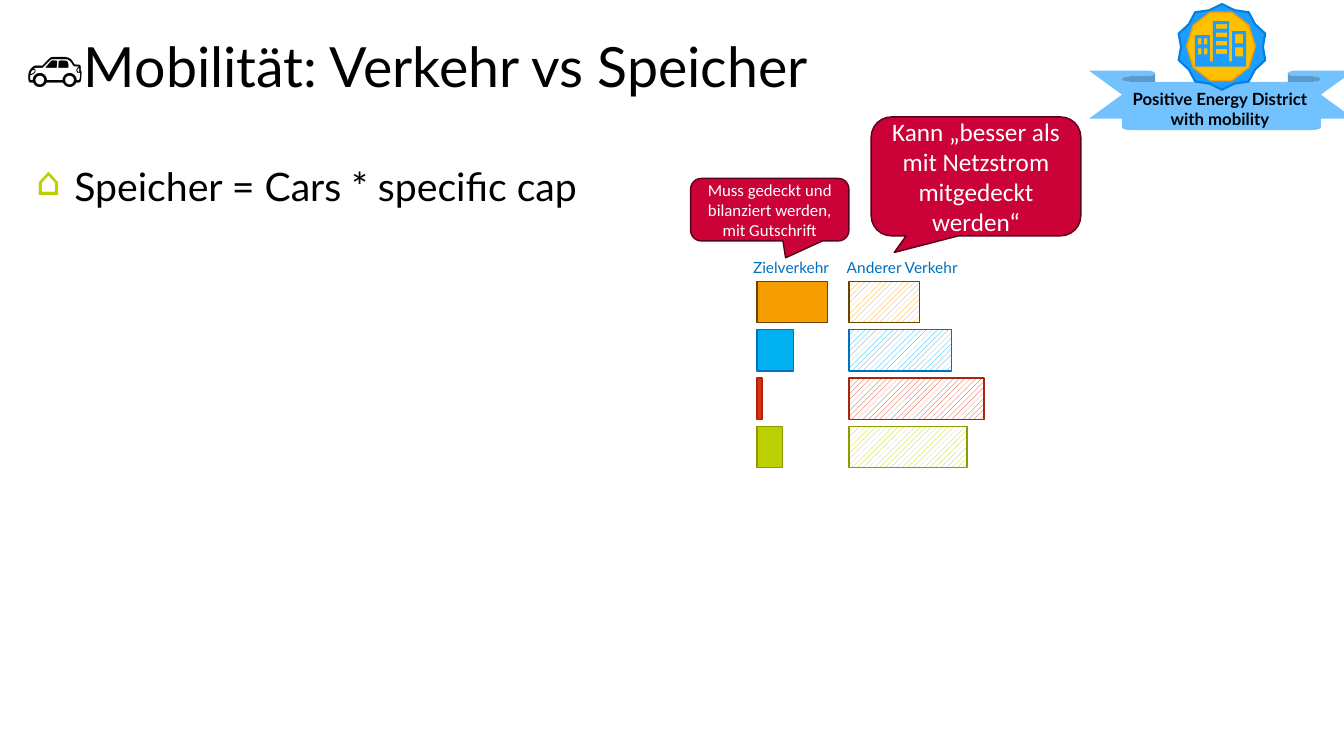
from dataclasses import dataclass

from lxml import etree
from pptx import Presentation
from pptx.dml.color import RGBColor
from pptx.enum.dml import MSO_PATTERN
from pptx.enum.shapes import MSO_SHAPE
from pptx.enum.text import MSO_ANCHOR, PP_ALIGN
from pptx.oxml.ns import qn
from pptx.util import Inches, Pt

RECTANGLE = MSO_SHAPE.RECTANGLE
CALLOUT = MSO_SHAPE.ROUNDED_RECTANGULAR_CALLOUT
RIBBON = MSO_SHAPE.DOWN_RIBBON
STAR = MSO_SHAPE.STAR_10_POINT
DECAGON = MSO_SHAPE.DECAGON
HATCH = MSO_PATTERN.WIDE_UPWARD_DIAGONAL
TOP, MIDDLE = MSO_ANCHOR.TOP, MSO_ANCHOR.MIDDLE
LEFT, CENTER = PP_ALIGN.LEFT, PP_ALIGN.CENTER

# The slide is a grid of square cells
WIDTH, HEIGHT = 13.33, 7.5
COLUMNS, ROWS = 133.3, 75


@dataclass(frozen=True)
class Theme:
    text_font: str = "Lato"
    callout_font: str = "Calibri"
    title_size: float = 39.6
    body_size: float = 28
    large_callout_size: float = 18
    small_size: float = 12
    label_size: float = 11
    black: str = "000000"
    white: str = "FFFFFF"
    label: str = "0070C0"
    callout: str = "CA0237"
    callout_edge: str = "590118"
    orange: str = "F59C00"
    orange_edge: str = "6B4400"
    blue: str = "00B0F0"
    blue_edge: str = "0070C0"
    red: str = "E1320F"
    red_edge: str = "A9250B"
    green: str = "BCCF00"
    green_edge: str = "8D9B00"
    ribbon: str = "71C2FF"
    badge: str = "1D9EFF"
    badge_edge: str = "0081E2"
    sun: str = "FFC000"


def columns(count):
    return Inches(count * WIDTH / COLUMNS)


def rows(count):
    return Inches(count * HEIGHT / ROWS)


def color(value):
    return RGBColor.from_string(value)


def apply_format(target, values):
    for name, value in values.items():
        setattr(target, name, value)


class SlideBuilder:
    def __init__(self, slide, theme):
        self.slide = slide
        self.theme = theme

    def place(self, left, top, width, height):
        return columns(left), rows(top), columns(width), rows(height)

    def paint(self, shape, fill, edge=None, edge_width=1.0, hatched=False):
        shape.shadow.inherit = False
        if hatched:
            shape.fill.patterned()
            shape.fill.pattern = HATCH
            shape.fill.fore_color.rgb = color(fill)
            shape.fill.back_color.rgb = color(self.theme.white)
        else:
            shape.fill.solid()
            shape.fill.fore_color.rgb = color(fill)
        if edge:
            shape.line.color.rgb = color(edge)
            shape.line.width = Pt(edge_width)
        else:
            shape.line.fill.background()

    def shape(self, kind, box, fill, edge=None, adjustments=(), **style):
        shape = self.slide.shapes.add_shape(kind, *self.place(*box))
        for index, value in enumerate(adjustments):
            shape.adjustments[index] = value
        self.paint(shape, fill, edge, **style)
        return shape

    def fill_text(self, shape, lines, size, ink=None, font=None, bold=False,
                  align=LEFT, anchor=TOP, spacing=1.0, frame_format=None):
        frame = shape.text_frame
        apply_format(frame, {"word_wrap": True, "vertical_anchor": anchor,
                             **(frame_format or {})})
        for index, line in enumerate(lines):
            paragraph = frame.add_paragraph() if index else frame.paragraphs[0]
            apply_format(paragraph, {"alignment": align, "line_spacing": spacing})
            run = paragraph.add_run()
            run.text = line
            apply_format(run.font, {"name": font or self.theme.text_font,
                                    "size": Pt(size), "bold": bold})
            run.font.color.rgb = color(ink or self.theme.black)
        return shape

    def text(self, box, lines, size, **style):
        shape = self.slide.shapes.add_textbox(*self.place(*box))
        return self.fill_text(shape, lines, size, **style)

    def bullet(self, paragraph, symbol, ink, indent):
        properties = paragraph._p.get_or_add_pPr()
        properties.set("marL", str(indent))
        properties.set("indent", str(-indent))
        bullet_color = etree.SubElement(properties, qn("a:buClr"))
        etree.SubElement(bullet_color, qn("a:srgbClr")).set("val", ink)
        etree.SubElement(properties, qn("a:buChar")).set("char", symbol)

    def callout(self, box, message, size, pointer):
        theme = self.theme
        shape = self.shape(CALLOUT, box, theme.callout, theme.callout_edge, pointer)
        self.fill_text(shape, [message], size, ink=theme.white,
                       font=theme.callout_font, align=CENTER, anchor=MIDDLE)

    def outline(self, contours, fill):
        scaled = [[(columns(x), rows(y)) for x, y in contour] for contour in contours]
        builder = self.slide.shapes.build_freeform(*scaled[0][0])
        for index, contour in enumerate(scaled):
            if index:
                builder.move_to(*contour[0])
            builder.add_line_segments(contour[1:], close=True)
        self.paint(builder.convert_to_shape(), fill)


def add_text(builder):
    theme = builder.theme
    builder.text((2.6, 3.5, 127.6, 6.8), ["🚗Mobilität: Verkehr vs Speicher"],
                 theme.title_size, anchor=MIDDLE, spacing=0.9,
                 frame_format={"margin_left": 0})
    body = builder.text((2.6, 13.3, 65.3, 57.3), ["Speicher = Cars * specific cap"],
                        theme.body_size, spacing=1.5)
    builder.bullet(body.text_frame.paragraphs[0], "⌂", theme.green, columns(3.8))


def add_traffic_bars(builder):
    theme = builder.theme
    target_left, other_left = 75.1, 84.2
    first_top, pitch, bar_height = 27.9, 4.8, 4.1
    bars = [  # fill, edge, target traffic, other traffic
        (theme.orange, theme.orange_edge, 7, 7),
        (theme.blue, theme.blue_edge, 3.6, 10.2),
        (theme.red, theme.red_edge, 0.5, 13.4),
        (theme.green, theme.green_edge, 2.5, 11.7),
    ]
    for index, (fill, edge, target, other) in enumerate(bars):
        top = first_top + index * pitch
        builder.shape(RECTANGLE, (target_left, top, target, bar_height), fill, edge)
        builder.shape(RECTANGLE, (other_left, top, other, bar_height), fill, edge,
                      hatched=True)
    for label, left, width in (("Zielverkehr", 73.7, 10.5),
                               ("Anderer Verkehr", 83, 14.6)):
        builder.text((left, 25.1, width, 2.9), [label], theme.label_size,
                     ink=theme.label)


def add_callouts(builder):
    theme = builder.theme
    builder.callout((68.5, 17.7, 15.7, 6.2),
                    "Muss gedeckt und bilanziert werden, mit Gutschrift",
                    theme.small_size, (0.1, 0.77, 0.17))
    builder.callout((86.4, 11.6, 20.8, 11.8),
                    "Kann „besser als mit Netzstrom mitgedeckt werden“",
                    theme.large_callout_size, (-0.39, 0.64, 0.17))


def add_district_badge(builder):
    theme = builder.theme
    builder.shape(RIBBON, (108, 7, 26.3, 5.9), theme.ribbon, adjustments=(0.19, 0.75))
    builder.text((105.3, 8.3, 31.4, 5), ["Positive Energy District", "with mobility"],
                 theme.small_size, bold=True, align=CENTER)
    builder.shape(STAR, (116.9, 0.4, 8.6, 8.5), theme.badge, theme.badge_edge,
                  (0.45, 1.05), edge_width=1.5)
    builder.shape(DECAGON, (117.7, 1.2, 6.8, 6.8), theme.sun, theme.orange)

    # Skyline with window openings
    skyline = [(122.2, 3.1), (122.2, 6.1), (121.9, 6.1), (121.9, 2.1),
               (120.3, 2.1), (120.3, 6.1), (120, 6.1), (120, 3.5),
               (118.5, 3.5), (118.5, 6.6), (123.6, 6.6), (123.6, 3.1)]
    window_stacks = [  # left, width, height, first top, pitch, count
        (118.8, 0.35, 0.6, 3.8, 1, 2),
        (119.4, 0.35, 0.6, 3.8, 1, 2),
        (120.6, 1.1, 0.45, 2.4, 0.83, 4),
        (122.5, 0.8, 0.9, 3.4, 1.3, 2),
    ]
    contours = [skyline]
    for left, width, height, first_top, pitch, count in window_stacks:
        for index in range(count):
            top = first_top + index * pitch
            right, bottom = left + width, top + height
            contours.append([(left, top), (right, top), (right, bottom), (left, bottom)])
    builder.outline(contours, theme.badge)


def main():
    presentation = Presentation()
    apply_format(presentation, {"slide_width": Inches(WIDTH),
                                "slide_height": Inches(HEIGHT)})
    slide = presentation.slides.add_slide(presentation.slide_layouts[6])
    builder = SlideBuilder(slide, Theme())
    for add_part in (add_text, add_traffic_bars, add_callouts, add_district_badge):
        add_part(builder)
    presentation.save("out.pptx")


if __name__ == "__main__":
    main()
